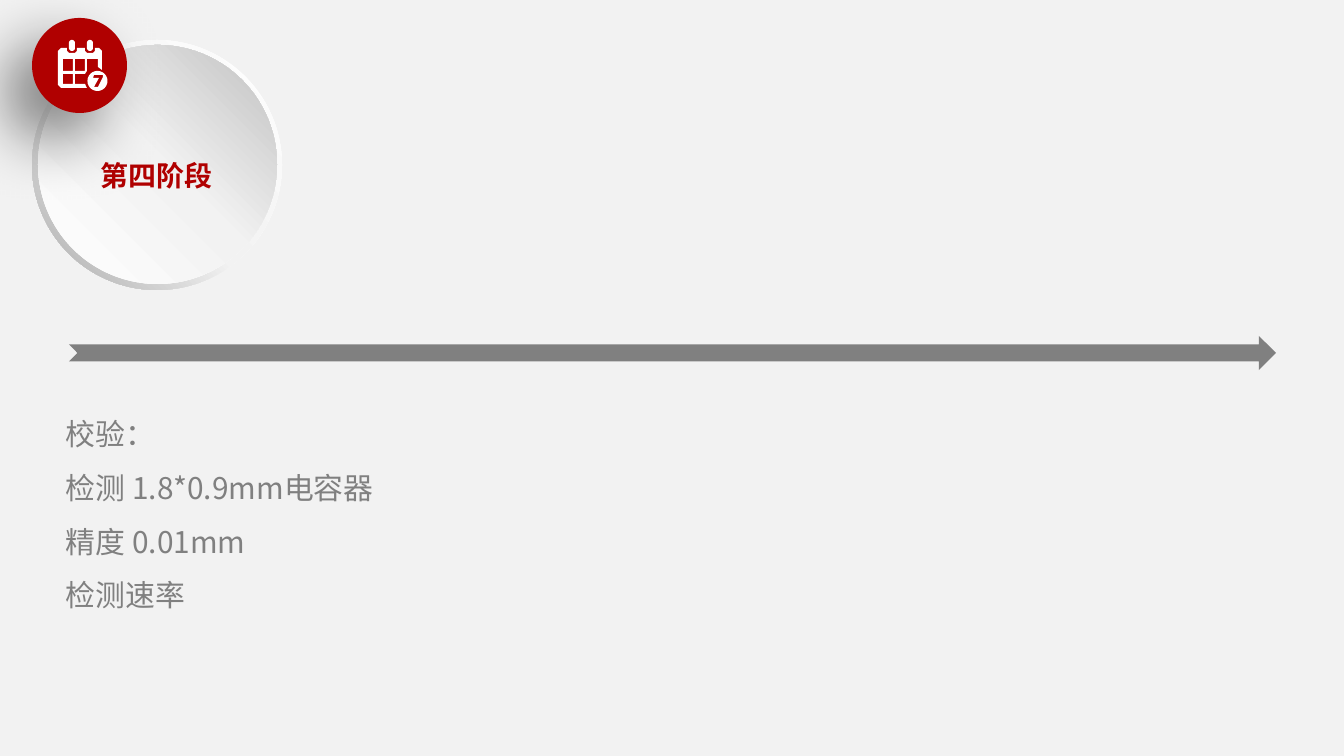
from copy import deepcopy
from math import cos, sin, tau

from lxml import etree
from pptx import Presentation
from pptx.dml.color import RGBColor
from pptx.enum import shapes, text
from pptx.oxml import ns
from pptx.util import Pt

PX = 914400 / 134.4
FONT = "Noto Sans CJK SC"
HUES = {"back": "F2F2F2", "gray": "808080", "red": "B00000", "white": "FFFFFF",
        "dark": "A6A6A6", "mid": "BFBFBF", "black": "000000"}
KIND = shapes.MSO_SHAPE
LINES = ["校验：", "检测 1.8*0.9mm电容器", "精度 0.01mm", "检测速率"]
BODY = [(61, 48), (67, 48), (67, 51), (69, 53), (75, 53), (77, 51), (77, 48),
        (85, 48), (85, 51), (87, 53), (93, 53), (95, 51), (95, 48), (99, 48),
        (102, 51), (102, 70), (98, 67), (98, 59), (87, 59), (87, 71), (85, 74),
        (75, 74), (75, 84), (85, 84), (87, 88), (61, 88), (58, 85), (58, 51)]
SEVEN = [(94, 75), (103, 75), (103, 77), (98, 87), (94, 87), (99, 78), (93, 78)]
PANES = [(63, 59, 73, 71), (75, 59, 85, 71), (63, 74, 73, 84)]


def px(*nums):
    return [round(n * PX) for n in nums]


def hue(name):
    return RGBColor.from_string(HUES[name])


def put(item, vals):
    for key, val in vals.items():
        setattr(item, key, val)


def sub(node, tag, **vals):
    return etree.SubElement(node, ns.qn(tag), vals)


def paint(shape, name):
    shape.shadow.inherit = False
    shape.line.fill.background()
    shape.fill.solid()
    shape.fill.fore_color.rgb = hue(name)
    return shape


def draw(host, kind, box, name):
    return paint(host.add_shape(kind, *px(*box)), name)


def blend(shape, turn, stops):
    fill = shape.fill
    fill.gradient()
    fill.gradient_angle = turn
    row = next(shape.element.iter(ns.qn("a:gsLst")))
    row.append(deepcopy(row[-1]))
    for stop, (spot, name) in zip(fill.gradient_stops, stops):
        stop.position = spot
        stop.color.rgb = hue(name)


def shade(shape):
    node = next(shape.element.iter(ns.qn("a:effectLst")))
    cast = sub(node, "a:outerShdw", blurRad=str(Pt(35)), dist=str(Pt(20)),
               dir="8100000", algn="tr", rotWithShape="0")
    tint = sub(cast, "a:srgbClr", val=HUES["black"])
    sub(tint, "a:alpha", val="50000")


def pill(mid, top, low, rad):
    turns = [tau * n / 48 for n in range(48)]
    return [(mid + rad * cos(t), (low if sin(t) > 0 else top) + rad * sin(t))
            for t in turns]


def icon(host):
    panes = [[(l, t), (r, t), (r, b), (l, b)] for l, t, r, b in PANES]
    rings = [pill(mid, 43, 48, 3) for mid in (72, 90)]
    loops = [BODY, *panes, *rings, pill(97.5, 81, 81, 10), SEVEN]
    pen = None
    for loop in loops:
        dots = [(round(x * 10), round(y * 10)) for x, y in loop]
        if pen is None:
            pen = host.build_freeform(*dots[0], scale=PX / 10)
        else:
            pen.move_to(*dots[0])
        pen.add_line_segments(dots[1:], close=True)
    paint(pen.convert_to_shape(), "white")


def write(shape, box, lines, frame, para, font, name):
    put(shape, dict(zip(("left", "top", "width", "height"), px(*box))))
    body = shape.text_frame
    body.text = "\n".join(lines)
    put(body, {"auto_size": text.MSO_AUTO_SIZE.NONE, **frame})
    for line in body.paragraphs:
        put(line, {"space_before": Pt(0), **para})
        props = line._p.get_or_add_pPr()
        put_xml = {"marL": "0", "indent": "0"}
        for key, val in put_xml.items():
            props.set(key, val)
        sub(props, "a:buNone")
        for run in line.runs:
            put(run.font, {"name": FONT, **font})
            run.font.color.rgb = hue(name)
            sub(run.font._element, "a:ea", typeface=FONT)


def main():
    deck = Presentation()
    put(deck, dict(zip(("slide_width", "slide_height"), px(1344, 756))))
    slide = deck.slides.add_slide(deck.slide_layouts[1])
    slide.background.fill.solid()
    slide.background.fill.fore_color.rgb = hue("back")
    host = slide.shapes
    head, notes = host.title, slide.placeholders[1]

    write(notes, (66, 398, 348, 247), LINES,
          {"margin_left": 0, "margin_right": 0, "margin_top": 0,
           "margin_bottom": 0, "word_wrap": True,
           "vertical_anchor": text.MSO_ANCHOR.TOP},
          {"alignment": text.PP_ALIGN.JUSTIFY, "line_spacing": 1.5},
          {"size": Pt(16)}, "gray")
    draw(host, KIND.NOTCHED_RIGHT_ARROW, (69, 336, 1207, 34), "gray")

    disc = host.add_group_shape().shapes
    rim = draw(disc, KIND.DONUT, (32, 40, 250, 250), "back")
    rim.adjustments[0] = 0.05
    blend(rim, 225, [(0, "white"), (0.55, "back"), (1, "dark")])
    face = draw(disc, KIND.OVAL, (38, 45, 239, 239), "back")
    blend(face, 45, [(0, "white"), (0.51, "back"), (1, "mid")])

    write(head, (87, 152, 140, 47), ["第四阶段"],
          {"word_wrap": False, "vertical_anchor": text.MSO_ANCHOR.MIDDLE},
          {"alignment": text.PP_ALIGN.CENTER},
          {"size": Pt(15), "bold": True}, "red")
    host.element.append(head.element)
    shade(draw(host, KIND.OVAL, (32, 18, 95, 95), "red"))
    icon(host)
    deck.save("out.pptx")


if __name__ == "__main__":
    main()
